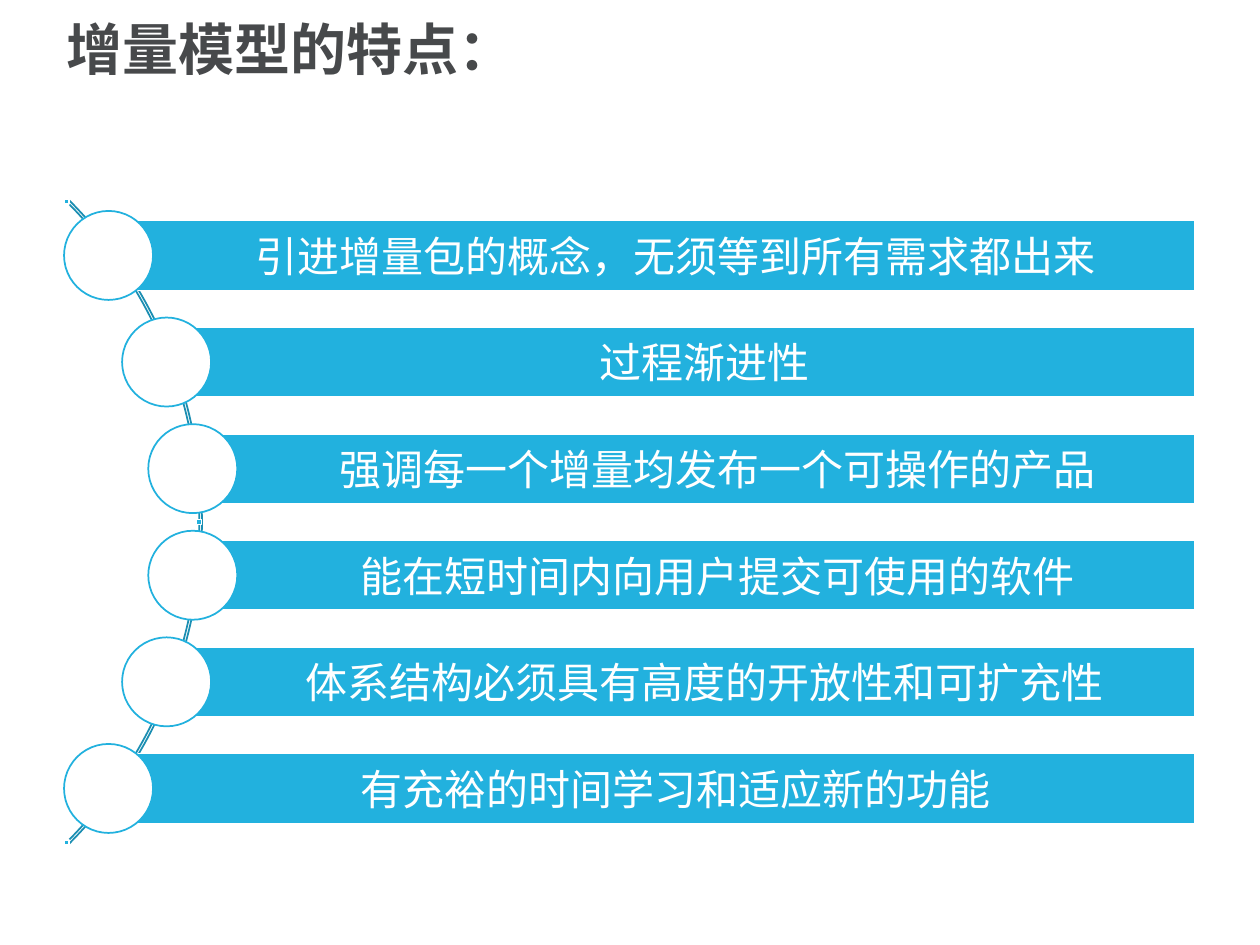
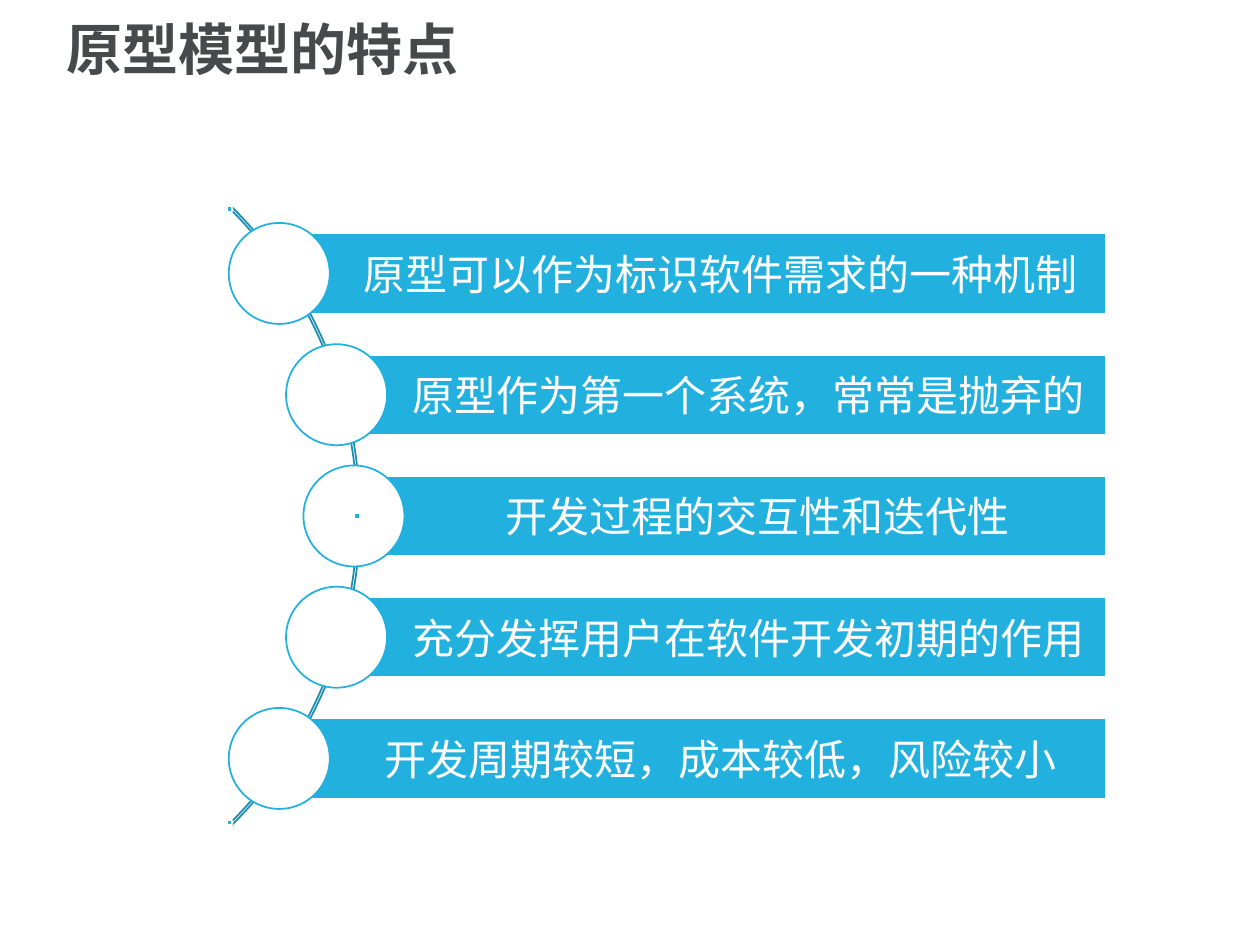
import math
from lxml import etree
from pptx import Presentation, util as u
from pptx.dml.color import RGBColor
from pptx.enum import shapes, text
from pptx.oxml import ns

PX = 914400 / 126
COLORS = {"title": "47494B", "bar": "22B1DE", "arc": "1B8EB2", "white": "FFFFFF"}
CJK = "Noto Sans CJK SC"
SHAPE = shapes.MSO_SHAPE


def px(value):
    return u.Emu(round(value * PX))


def color(key):
    return RGBColor.from_string(COLORS[key])


def write(frame, words, *, size, ink, font=CJK, bold=False,
          align=text.PP_ALIGN.LEFT, spacing=1.0):
    frame.word_wrap = True
    frame.auto_size = text.MSO_AUTO_SIZE.NONE
    frame.vertical_anchor = text.MSO_ANCHOR.MIDDLE
    paragraph = frame.paragraphs[0]
    paragraph.alignment = align
    paragraph.line_spacing = spacing
    run = paragraph.add_run()
    run.text = words
    run.font.size = u.Pt(size)
    run.font.bold = bold
    run.font.name = font
    run.font.color.rgb = color(ink)
    east_asian = etree.SubElement(run._r.get_or_add_rPr(), ns.qn("a:ea"))
    east_asian.set("typeface", CJK)


class Deck:
    def __init__(self):
        self.show = Presentation()
        self.show.slide_width = px(1260)
        self.show.slide_height = px(945)
        self.slide = None

    def start(self, heading):
        self.slide = self.show.slides.add_slide(self.show.slide_layouts[5])
        title = self.slide.shapes.title
        title.left, title.top, title.width, title.height = map(px, (54, 8, 1140, 88))
        write(title.text_frame, heading, size=32, ink="title", bold=True, spacing=0.9)

    def shape(self, kind, left, top, width, height, *, fill, line):
        item = self.slide.shapes.add_shape(kind, *map(px, (left, top, width, height)))
        item.shadow.inherit = False
        if fill:
            item.fill.solid()
            item.fill.fore_color.rgb = color(fill)
        else:
            item.fill.background()
        item.line.color.rgb = color(line)
        item.line.width = u.Pt(1)
        return item

    def arc(self, center_x, center_y, radius):
        curve = self.shape(SHAPE.BLOCK_ARC, center_x - radius, center_y - radius,
                           2 * radius, 2 * radius, fill=None, line="arc")
        for index, value in enumerate((189, 27, 0.003)):
            curve.adjustments[index] = value

    def bar(self, words, left, right, middle, height, inset, font):
        band = self.shape(SHAPE.RECTANGLE, left, middle - height / 2,
                          right - left, height, fill="bar", line="white")
        frame = band.text_frame
        frame.margin_left = px(inset)
        frame.margin_right = frame.margin_top = frame.margin_bottom = px(9)
        write(frame, words, size=24, ink="white", font=font,
              align=text.PP_ALIGN.CENTER)

    def centered(self, kind, x, y, size, fill, line):
        self.shape(kind, x - size / 2, y - size / 2, size, size, fill=fill, line=line)

    def features(self, points, *, center_x, center_y, radius, span, right,
                 bar_height, bead, inset, font):
        self.arc(center_x, center_y, radius)
        pitch = span / (len(points) - 1)
        for index, point in enumerate(points):
            offset = index * pitch - span / 2
            x = center_x + math.sqrt((radius - 6) ** 2 - offset ** 2)
            y = center_y + offset
            self.bar(point, x, right, y, bar_height, inset, font)
            self.centered(SHAPE.OVAL, x, y, bead, "white", "bar")
        for degrees in (-45, 0, 45):
            angle = math.radians(degrees)
            self.centered(SHAPE.RECTANGLE, center_x + (radius - 3) * math.cos(angle),
                          center_y + (radius - 3) * math.sin(angle), 5, "bar", "white")


def main():
    deck = Deck()
    deck.start("增量模型的特点：")
    deck.features(
        ["引进增量包的概念，无须等到所有需求都出来",
         "过程渐进性",
         "强调每一个增量均发布一个可操作的产品",
         "能在短时间内向用户提交可使用的软件",
         "体系结构必须具有高度的开放性和可扩充性",
         "有充裕的时间学习和适应新的功能"],
        center_x=-254, center_y=522, radius=456, span=533, right=1195,
        bar_height=70, bead=89, inset=57, font=CJK)
    deck.start("原型模型的特点")
    deck.features(
        ["原型可以作为标识软件需求的一种机制",
         "原型作为第一个系统，常常是抛弃的",
         "开发过程的交互性和迭代性",
         "充分发挥用户在软件开发初期的作用",
         "开发周期较短，成本较低，风险较小"],
        center_x=-77, center_y=516, radius=437, span=485, right=1106,
        bar_height=80, bead=101, inset=64, font="Calibri")
    deck.show.save("out.pptx")


if __name__ == "__main__":
    main()
